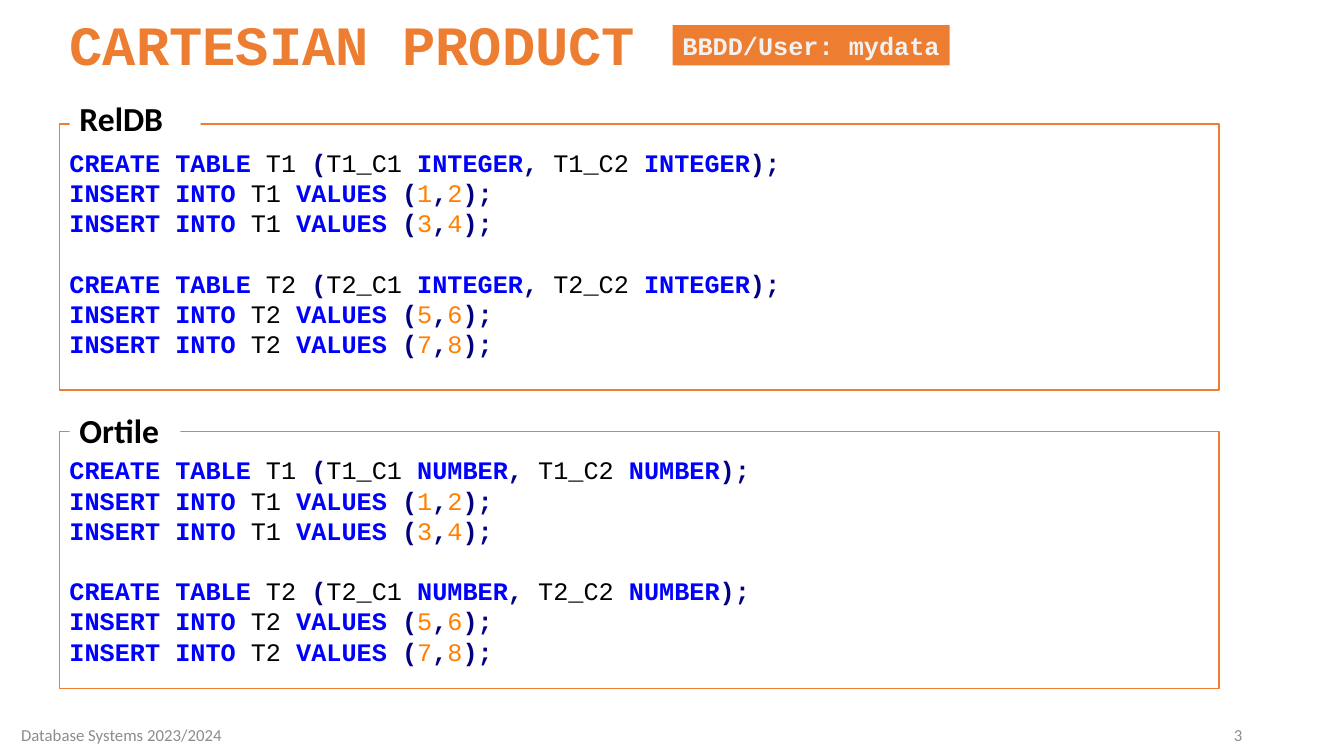
from pptx import Presentation
from pptx.dml.color import RGBColor
from pptx.enum.shapes import MSO_SHAPE
from pptx.enum.text import MSO_ANCHOR, MSO_AUTO_SIZE, PP_ALIGN
from pptx.util import Inches, Pt

RECTANGLE = MSO_SHAPE.RECTANGLE
TOP, MIDDLE = MSO_ANCHOR.TOP, MSO_ANCHOR.MIDDLE
LEFT, CENTER, RIGHT = PP_ALIGN.LEFT, PP_ALIGN.CENTER, PP_ALIGN.RIGHT
NO_RESIZE = MSO_AUTO_SIZE.NONE

CODE_FONT, TEXT_FONT = "Courier New", "Calibri"
ORANGE, WHITE, BLACK, GRAY, PALE = "ED7D31", "FFFFFF", "000000", "8C8C8C", "F2F2F2"
KEYWORD = ("0000FF", True)
SYMBOL = ("000080", True)
NUMBER = ("FF8000", False)
PLAIN = (BLACK, False)
LINE_PITCH = 21.6
TABLES = [("T1", [(1, 2), (3, 4)]), ("T2", [(5, 6), (7, 8)])]


def color(value):
    """Turn a hex string into a colour."""
    return RGBColor.from_string(value)


def add_span(para, text, font=TEXT_FONT, size=18, ink=BLACK, bold=False):
    """Append formatted text to a paragraph."""
    span = para.add_run()
    span.text = text
    span.font.name = font
    span.font.size = Pt(size)
    span.font.bold = bold
    span.font.color.rgb = color(ink)


def prepare_frame(shape, anchor=TOP, top_inset=0.05):
    """Set the margins and anchor of a shape's text and return its frame."""
    frame = shape.text_frame
    frame.auto_size = NO_RESIZE
    frame.word_wrap = True
    frame.vertical_anchor = anchor
    frame.margin_left = frame.margin_right = Inches(0.1)
    frame.margin_top, frame.margin_bottom = Inches(top_inset), Inches(0.05)
    return frame


def write_text(shape, text, anchor=TOP, align=LEFT, **style):
    """Fill a shape with one formatted paragraph and return the paragraph."""
    para = prepare_frame(shape, anchor).paragraphs[0]
    para.alignment = align
    add_span(para, text, **style)
    return para


def add_box(page, box, fill, line=None):
    """Draw a filled rectangle with an optional outline."""
    shape = page.shapes.add_shape(RECTANGLE, *map(Inches, box))
    shape.shadow.inherit = False
    shape.fill.solid()
    shape.fill.fore_color.rgb = color(fill)
    if line:
        shape.line.color.rgb = color(line)
        shape.line.width = Pt(1)
    else:
        shape.line.fill.background()
    return shape


def create_statement(table, kind):
    """Return the styled parts of a CREATE TABLE statement."""
    return [("CREATE", KEYWORD), (" ", PLAIN), ("TABLE", KEYWORD),
            (f" {table} ", PLAIN), ("(", SYMBOL), (f"{table}_C1 ", PLAIN),
            (kind, KEYWORD), (",", SYMBOL), (f" {table}_C2 ", PLAIN),
            (kind, KEYWORD), (");", SYMBOL)]


def insert_statement(table, first, second):
    """Return the styled parts of an INSERT statement."""
    return [("INSERT", KEYWORD), (" ", PLAIN), ("INTO", KEYWORD),
            (f" {table} ", PLAIN), ("VALUES", KEYWORD), (" ", PLAIN),
            ("(", SYMBOL), (str(first), NUMBER), (",", SYMBOL),
            (str(second), NUMBER), (");", SYMBOL)]


def add_code_panel(page, box, name, label_width, label_rise, kind):
    """Draw a framed script with its label set into the top edge."""
    left, top = box[:2]
    frame = prepare_frame(add_box(page, box, WHITE, ORANGE), top_inset=0.23)
    para = frame.paragraphs[0]
    for position, (table, rows) in enumerate(TABLES):
        statements = [create_statement(table, kind)]
        statements += [insert_statement(table, *row) for row in rows]
        for number, statement in enumerate(statements):
            if position or number:
                para = frame.add_paragraph()
            para.alignment = LEFT
            para.line_spacing = Pt(LINE_PITCH)
            para.space_before = Pt(LINE_PITCH if position and not number else 0)
            for text, (ink, bold) in statement:
                add_span(para, text, font=CODE_FONT, ink=ink, bold=bold)
    label = add_box(page, (left + 0.1, top - label_rise, label_width, 0.5), WHITE)
    write_text(label, name, size=24, bold=True)
    label.text_frame.word_wrap = False


def add_header(page, box):
    """Place the title and the database badge."""
    left, top = box[:2]
    title = page.shapes.title
    title.left, title.top, title.width, title.height = map(Inches, box)
    para = write_text(title, "CARTESIAN PRODUCT", MIDDLE, font=CODE_FONT,
                      size=39.6, ink=ORANGE, bold=True)
    para.line_spacing = 0.8
    badge = add_box(page, (left + 6.08, top + 0.1, 2.75, 0.4), ORANGE)
    write_text(badge, "BBDD/User: mydata", font=CODE_FONT, ink=PALE, bold=True)


def add_footer(page, box):
    """Place the course name and the page number at the two ends of a strip."""
    left, top, width, height = box
    parts = [("Database Systems 2023/2024", left, 2.41, CENTER),
             ("3", left + width - 3, 3, RIGHT)]
    for text, start, extent, align in parts:
        area = map(Inches, (start, top, extent, height))
        write_text(page.shapes.add_textbox(*area), text, MIDDLE, align,
                   size=12, ink=GRAY)


def main():
    """Build and save the slide."""
    deck = Presentation()
    deck.slide_width, deck.slide_height = Inches(13.33), Inches(7.5)
    page = deck.slides.add_slide(deck.slide_layouts[5])
    add_header(page, (0.59, 0.15, 11.72, 0.69))
    add_code_panel(page, (0.59, 1.23, 11.5, 2.64), "RelDB", 1.3, 0.31, "INTEGER")
    add_code_panel(page, (0.59, 4.28, 11.5, 2.55), "Ortile", 1.1, 0.26, "NUMBER")
    add_footer(page, (0, 7.09, 12.42, 0.4))
    deck.save("out.pptx")


main()
